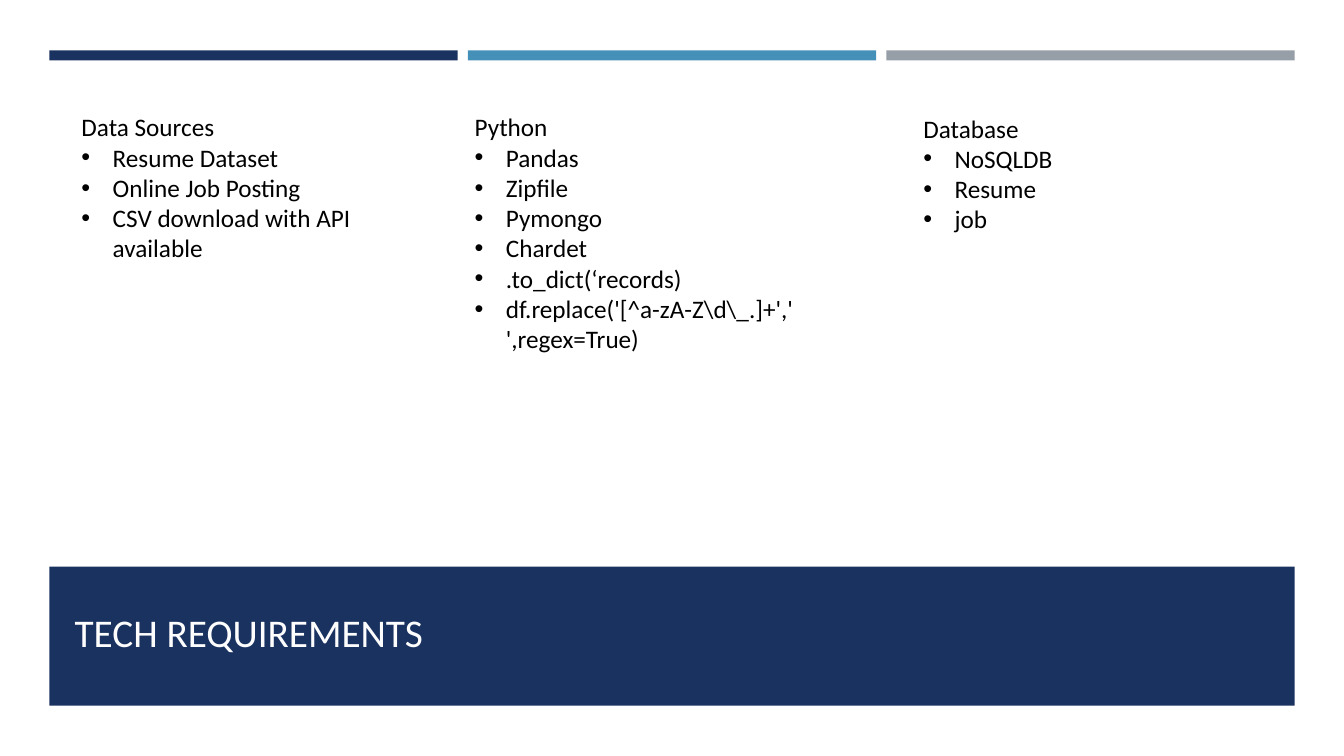
from lxml import etree
from pptx import Presentation
from pptx.dml.color import RGBColor
from pptx.enum.shapes import MSO_SHAPE
from pptx.enum.text import MSO_ANCHOR, MSO_AUTO_SIZE, PP_ALIGN
from pptx.oxml.ns import qn
from pptx.util import Inches, Pt

RECTANGLE = MSO_SHAPE.RECTANGLE
BOTTOM = MSO_ANCHOR.BOTTOM
TOP = MSO_ANCHOR.TOP
LEFT = PP_ALIGN.LEFT
FIT_SHAPE = MSO_AUTO_SIZE.SHAPE_TO_FIT_TEXT
NO_FIT = MSO_AUTO_SIZE.NONE

COLORS = {
    "navy": "1A3260",
    "blue": "4590B8",
    "gray": "969FA7",
    "title": "FFFEFF",
    "text": "000000",
}
TITLE_ONLY = 5


class SlideBuilder:
    """Holds the style and the current slide."""

    font = "Calibri"
    title_size = 28
    body_size = 18
    indent = Inches(0.31)

    def __init__(self, slide):
        self.slide = slide

    def style(self, paragraph, size, color):
        paragraph.alignment = LEFT
        paragraph.font.name = self.font
        paragraph.font.size = Pt(size)
        paragraph.font.color.rgb = RGBColor.from_string(COLORS[color])

    def block(self, left, top, width, height, color):
        block = self.slide.shapes.add_shape(
            RECTANGLE, Inches(left), Inches(top), Inches(width), Inches(height))
        block.shadow.inherit = False
        block.fill.solid()
        block.fill.fore_color.rgb = RGBColor.from_string(COLORS[color])
        block.line.fill.background()

    def title(self, text, left, top, width, height):
        title = self.slide.shapes.title
        title.left, title.top = Inches(left), Inches(top)
        title.width, title.height = Inches(width), Inches(height)
        frame = title.text_frame
        frame.text = text
        frame.word_wrap = True
        frame.auto_size = NO_FIT
        frame.vertical_anchor = BOTTOM
        self.style(frame.paragraphs[0], self.title_size, "title")
        # Bring the title in front of the band
        title.element.getparent().append(title.element)

    def bullet(self, paragraph):
        properties = paragraph._p.get_or_add_pPr()
        properties.set("marL", str(self.indent))
        properties.set("indent", str(-self.indent))
        bullet_font = etree.SubElement(properties, qn("a:buFont"))
        bullet_font.set("typeface", "Arial")
        etree.SubElement(properties, qn("a:buChar")).set("char", "•")

    def bullet_list(self, heading, items, left, top, width, height):
        box = self.slide.shapes.add_textbox(
            Inches(left), Inches(top), Inches(width), Inches(height))
        frame = box.text_frame
        frame.word_wrap = True
        frame.auto_size = FIT_SHAPE
        frame.vertical_anchor = TOP
        frame.text = "\n".join([heading, *items])
        for paragraph in frame.paragraphs:
            self.style(paragraph, self.body_size, "text")
        for paragraph in frame.paragraphs[1:]:
            self.bullet(paragraph)


def main():
    prs = Presentation()
    prs.slide_width, prs.slide_height = Inches(13.33), Inches(7.5)
    builder = SlideBuilder(prs.slides.add_slide(prs.slide_layouts[TITLE_ONLY]))

    # Three accent bars along the top
    margin, bar_width, bar_gap = 0.49, 4.05, 0.1
    for index, color in enumerate(("navy", "blue", "gray")):
        builder.block(margin + index * (bar_width + bar_gap), 0.5,
                      bar_width, 0.1, color)

    # Title band
    builder.block(margin, 5.62, 3 * bar_width + 2 * bar_gap, 1.38, "navy")
    builder.title("TECH REQUIREMENTS", 0.64, 5.76, 12.06, 0.79)

    # Requirement columns: heading, items, left, top, height
    requirements = [
        ("Data Sources",
         ["Resume Dataset", "Online Job Posting",
          "CSV download with API available"],
         0.71, 1.06, 1.62),
        ("Python",
         ["Pandas", "Zipfile", "Pymongo", "Chardet", ".to_dict(‘records)",
          r"df.replace('[^a-zA-Z\d\_.]+',' ',regex=True)"],
         4.61, 1.06, 2.52),
        ("Database", ["NoSQLDB", "Resume", "job"], 9.06, 1.07, 1.62),
    ]
    for heading, items, left, top, height in requirements:
        builder.bullet_list(heading, items, left, top, 3.56, height)

    prs.save("out.pptx")


if __name__ == "__main__":
    main()
